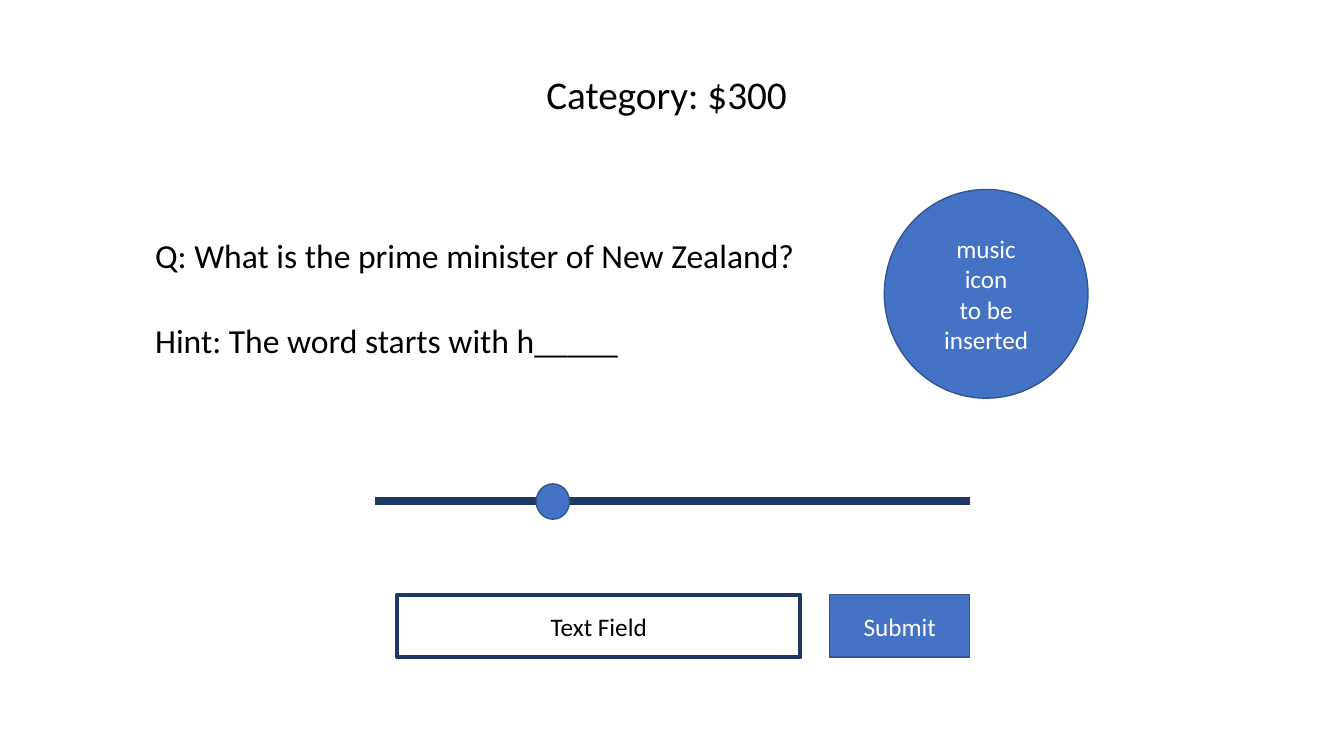
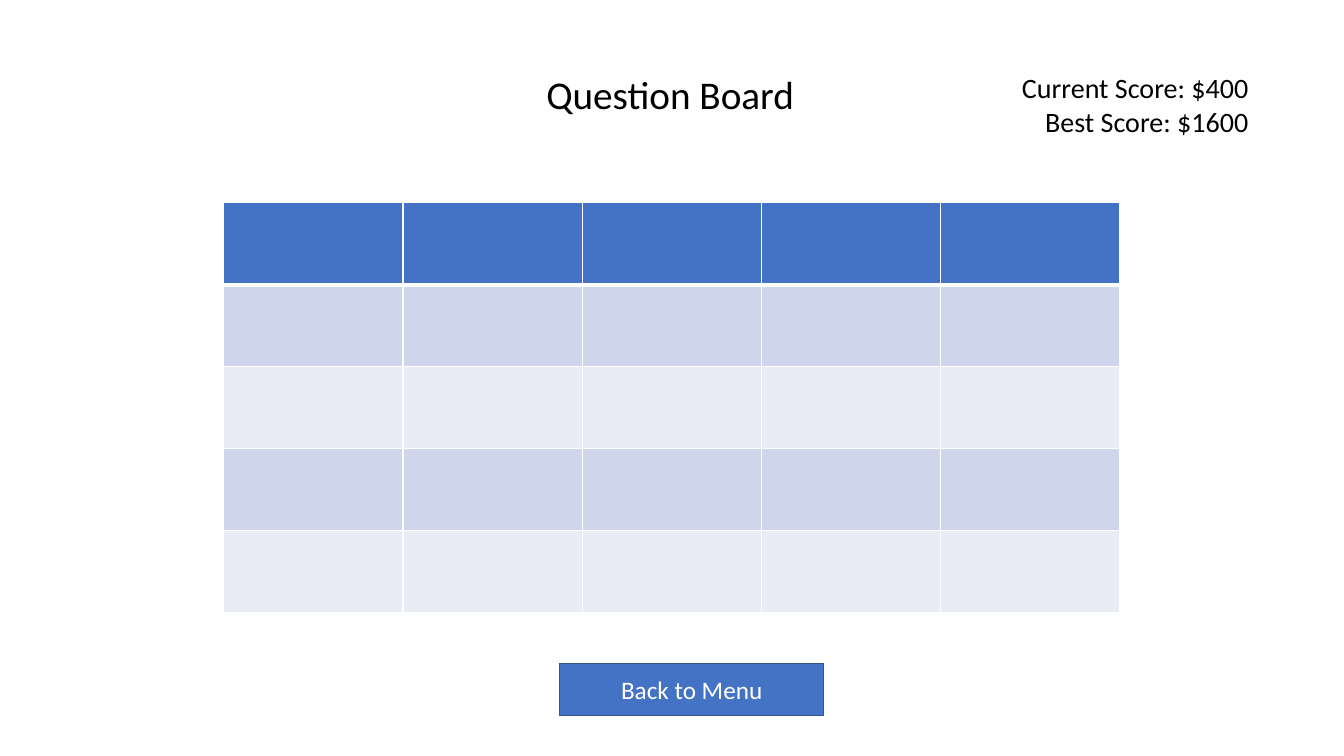
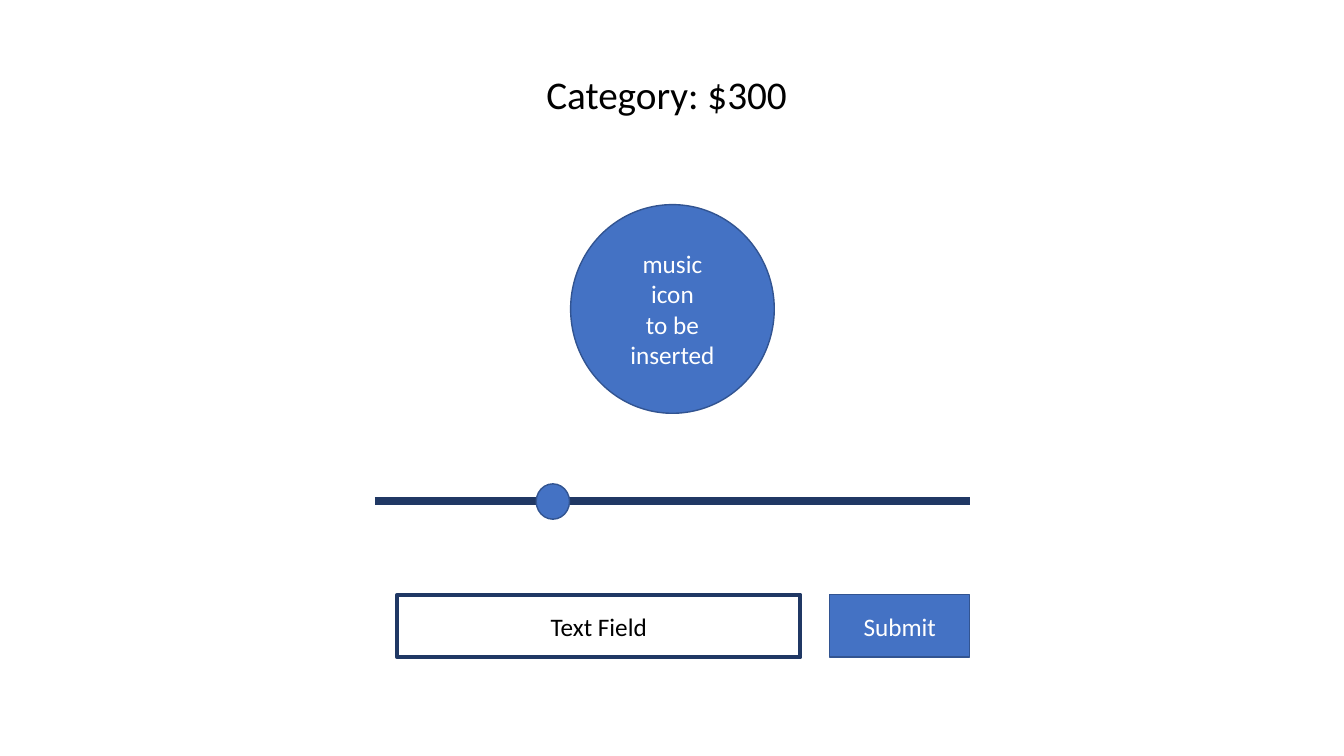
from lxml import etree
from pptx import Presentation, util as u
from pptx.dml.color import RGBColor
from pptx.enum import shapes, text
from pptx.oxml.ns import qn

SLIDE = (0, 0, 13.33, 7.5)
FONT = "Calibri"
HUES = {
    "blue": "4472C4", "edge": "325491", "navy": "203864",
    "band": "CFD5EA", "pale": "E9EBF5", "white": "FFFFFF", "black": "000000",
}
SHAPE = shapes.MSO_SHAPE
ALIGN = text.PP_ALIGN
ANCHOR = text.MSO_ANCHOR
ICON = ("music", "icon", "to be", "inserted")


def hue(name):
    return RGBColor.from_string(HUES[name])


def part(box, left, top, width, height):
    """Box in inches from percentages of an outer box."""
    x, y, w, h = box
    return (x + w * left / 100, y + h * top / 100,
            w * width / 100, h * height / 100)


def inches(box):
    return [u.Inches(v) for v in box]


def write(shape, lines, size, color="black", align=ALIGN.LEFT, anchor=ANCHOR.TOP):
    frame = shape.text_frame
    frame.text = "\n".join(lines)
    frame.word_wrap = True
    frame.vertical_anchor = anchor
    for para in frame.paragraphs:
        para.alignment = align
        font = para.font
        font.name, font.size = FONT, u.Pt(size)
        font.color.rgb = hue(color)


def label(slide, box, lines, size, align=ALIGN.LEFT):
    write(slide.shapes.add_textbox(*inches(box)), lines, size, align=align)


def solid(slide, kind, box, lines=(), fill="blue", edge="edge", width=1, color="white"):
    shape = slide.shapes.add_shape(kind, *inches(box))
    shape.shadow.inherit = False
    if fill:
        shape.fill.solid()
        shape.fill.fore_color.rgb = hue(fill)
    else:
        shape.fill.background()
    shape.line.color.rgb = hue(edge)
    shape.line.width = u.Pt(width)
    if lines:
        write(shape, lines, 18, color, ALIGN.CENTER, ANCHOR.MIDDLE)


def start(deck, title):
    slide = deck.slides.add_slide(deck.slide_layouts[5])
    head = slide.shapes.title
    head.left, head.top, head.width, head.height = inches(
        part(SLIDE, 39.9, 8.67, 22, 7.6))
    write(head, [title], 28)
    return slide


def track(slide, box):
    x, y, w, _ = inches(box)
    line = slide.shapes.add_connector(shapes.MSO_CONNECTOR.STRAIGHT, x, y, x + w, y)
    line.line.color.rgb = hue("navy")
    line.line.width = u.Pt(6)
    etree.SubElement(line._element.spPr, qn("a:effectLst"))


def player(slide, box):
    """Slider above an answer field and its button."""
    track(slide, part(box, 0, 9.9, 100, 0))
    solid(slide, SHAPE.RECTANGLE, part(box, 3.73, 64, 67.8, 36), ["Text Field"],
          fill=None, edge="navy", width=3, color="black")
    solid(slide, SHAPE.RECTANGLE, part(box, 76.44, 64, 23.56, 36), ["Submit"])
    solid(slide, SHAPE.OVAL, part(box, 27.1, 0, 5.6, 20.4))


def query(slide, box):
    lines = ("Q: What is the prime minister of New Zealand?",
             "Hint: The word starts with h_____")
    for row, line in enumerate(lines):
        label(slide, part(box, 0, 62.7 * row, 100, 37.3), [line], 24)


def border(cell, widths):
    props = cell._tc.get_or_add_tcPr()
    for side, width in zip("LRTB", widths):
        line = etree.SubElement(props, qn(f"a:ln{side}"), w=str(u.Pt(width)))
        paint = etree.SubElement(line, qn("a:solidFill"))
        etree.SubElement(paint, qn("a:srgbClr"), val=HUES["white"])


def board(slide, box, rows=5, cols=5):
    table = slide.shapes.add_table(rows, cols, *inches(box)).table
    for row in range(rows):
        fill = "blue" if row == 0 else ("pale", "band")[row % 2]
        top, base = (3 if row == 1 else 1), (3 if row == 0 else 1)
        for col in range(cols):
            cell = table.cell(row, col)
            border(cell, (1, 1, top, base))
            cell.fill.solid()
            cell.fill.fore_color.rgb = hue(fill)


def clue(deck, left, top, asks):
    """Music question slide, with or without a written question."""
    slide = start(deck, "Category: $300")
    solid(slide, SHAPE.OVAL, part(SLIDE, left, top, 15.15, 27.6), ICON)
    player(slide, part(SLIDE, 27.9, 64, 44.26, 22.93))
    if asks:
        query(slide, part(SLIDE, 10.8, 30.4, 50.2, 17.87))


def menu(deck):
    slide = start(deck, "Question Board")
    label(slide, part(SLIDE, 75.1, 8.67, 18.53, 10.27),
          ["Current Score: $400", "Best Score: $1600"], 20, ALIGN.RIGHT)
    board(slide, part(SLIDE, 16.65, 26.8, 66.7, 54.3))
    solid(slide, SHAPE.RECTANGLE, part(SLIDE, 41.64, 87.73, 19.65, 6.93),
          ["Back to Menu"])


def main():
    deck = Presentation()
    deck.slide_width, deck.slide_height = inches(SLIDE[2:])
    clue(deck, 65.8, 25.07, True)
    menu(deck)
    clue(deck, 42.46, 27.07, False)
    deck.save("out.pptx")


if __name__ == "__main__":
    main()
